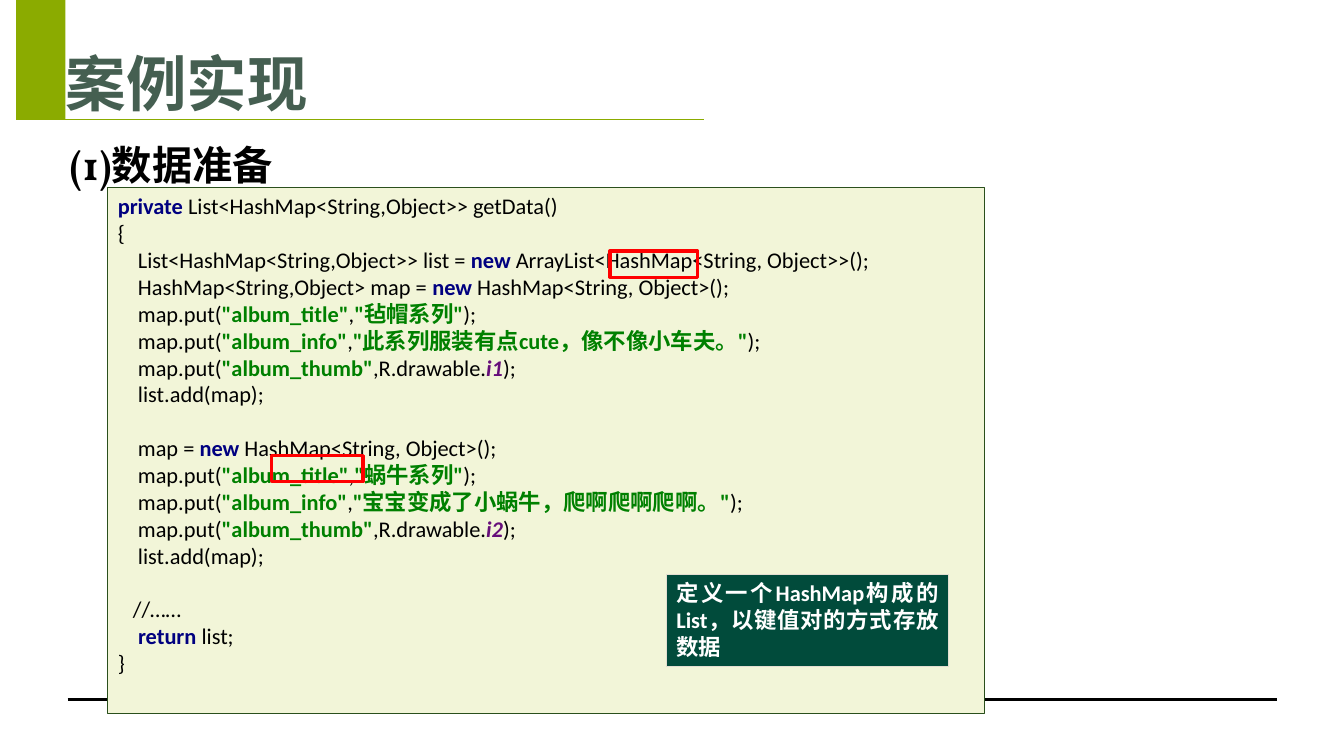
from lxml.etree import SubElement
from pptx import Presentation
from pptx.dml.color import RGBColor
from pptx.enum.shapes import MSO_CONNECTOR, MSO_SHAPE
from pptx.enum.text import MSO_ANCHOR, MSO_AUTO_SIZE, PP_ALIGN
from pptx.oxml.ns import qn
from pptx.util import Inches, Pt

PLAIN = {"color": "000000"}
KEYWORD = {"color": "000080", "bold": True}
STRING = {"color": "008000", "bold": True}
FIELD = {"color": "660E7A", "bold": True, "italic": True}
NEW = ("new ", KEYWORD)


def rgb(value):
    return RGBColor.from_string(value)


def put(key, value, style):
    """Return the code line that stores one value in the map."""
    prefix = [(",", PLAIN)] if style is STRING else [(",R.drawable.", PLAIN)]
    return [("    map.put(", PLAIN), (f'"{key}"', STRING), *prefix,
            (value, style), (");", PLAIN)]


def album(declaration, title, info, thumbnail):
    """Return the code lines that create one album and add it to the list."""
    return [
        [(f"    {declaration} = ", PLAIN), NEW, ("HashMap<String, Object>();", PLAIN)],
        put("album_title", f'"{title}"', STRING),
        put("album_info", f'"{info}"', STRING),
        put("album_thumb", thumbnail, FIELD),
        [("    list.add(map);", PLAIN)],
    ]


CODE = [
    [("private ", KEYWORD), ("List<HashMap<String,Object>> getData()", PLAIN)],
    [("{", PLAIN)],
    [("    List<HashMap<String,Object>> list = ", PLAIN), NEW,
     ("ArrayList<HashMap<String, Object>>();", PLAIN)],
    *album("HashMap<String,Object> map", "毡帽系列",
           "此系列服装有点cute，像不像小车夫。", "i1"),
    [],
    *album("map", "蜗牛系列", "宝宝变成了小蜗牛，爬啊爬啊爬啊。", "i2"),
    [],
    [("   //……", PLAIN)],
    [("    ", PLAIN), ("return ", KEYWORD), ("list;", PLAIN)],
    [("}", PLAIN)],
]


class SlideBuilder:
    def __init__(self, slide, font="Calibri", size=16):
        self.slide = slide
        self.font = font
        self.size = size

    def run(self, paragraph, text, color, bold=False, italic=False, font=None, size=None):
        run = paragraph.add_run()
        run.text = text
        run.font.name = font or self.font
        run.font.size = Pt(size or self.size)
        run.font.bold = bold
        run.font.italic = italic
        run.font.color.rgb = rgb(color)

    def frame(self, shape, margins, anchor=MSO_ANCHOR.TOP):
        """Prepare the text frame of a shape and return its first paragraph."""
        frame = shape.text_frame
        frame.word_wrap = True
        frame.auto_size = MSO_AUTO_SIZE.NONE
        frame.vertical_anchor = anchor
        (frame.margin_left, frame.margin_top,
         frame.margin_right, frame.margin_bottom) = map(Inches, margins)
        paragraph = frame.paragraphs[0]
        paragraph.alignment = PP_ALIGN.LEFT
        return paragraph

    def title(self, text, box):
        shape = self.slide.shapes.title
        shape.left, shape.top, shape.width, shape.height = map(Inches, box)
        paragraph = self.frame(shape, (0, 0.04, 0, 0), MSO_ANCHOR.BOTTOM)
        self.run(paragraph, text, "455F51", bold=True, font="Courier New", size=43.2)

    def heading(self, text, box):
        shape = self.slide.shapes.add_textbox(*map(Inches, box))
        paragraph = self.frame(shape, (0.08, 0.04, 0.08, 0.04))
        self.run(paragraph, text, "000000", bold=True, font="Vollkorn", size=28.8)

    def line(self, start, end, color, width):
        line = self.slide.shapes.add_connector(
            MSO_CONNECTOR.STRAIGHT, *map(Inches, (*start, *end)))
        line.line.color.rgb = rgb(color)
        line.line.width = Pt(width)
        SubElement(line._element.spPr, qn("a:effectLst"))

    def rectangle(self, box, fill=None, outline=None, width=0.75):
        shape = self.slide.shapes.add_shape(MSO_SHAPE.RECTANGLE, *map(Inches, box))
        shape.shadow.inherit = False
        if fill:
            shape.fill.solid()
            shape.fill.fore_color.rgb = rgb(fill)
        else:
            shape.fill.background()
        if outline:
            shape.line.color.rgb = rgb(outline)
            shape.line.width = Pt(width)
        else:
            shape.line.fill.background()
        return shape

    def code(self, lines, box):
        shape = self.rectangle(box, "F2F5D8", "2A4F1C")
        paragraph = self.frame(shape, (0.1, 0.05, 0.1, 0.05))
        for index, tokens in enumerate(lines):
            if index:
                paragraph.add_line_break()
                # A line break takes its height from its own run properties.
                SubElement(paragraph._p[-1], qn("a:rPr"), sz=str(self.size * 100))
            for text, style in tokens:
                self.run(paragraph, text, **style)

    def callout(self, text, box):
        shape = self.rectangle(box, "014B3B", "E3DED1")
        paragraph = self.frame(shape, (0.1, 0.05, 0.1, 0.05))
        paragraph.alignment = PP_ALIGN.JUSTIFY
        self.run(paragraph, text, "FFFFFF", bold=True)

    def highlight(self, box):
        self.rectangle(box, outline="FF0000", width=2.25)


def main():
    presentation = Presentation()
    presentation.slide_width = Inches(13.33)
    presentation.slide_height = Inches(7.5)
    builder = SlideBuilder(presentation.slides.add_slide(presentation.slide_layouts[5]))

    builder.line((0.67, 6.94), (12.67, 6.94), "000000", 2.25)
    builder.rectangle((0.16, 0, 0.49, 1.19), "8BAB00")
    builder.line((0.61, 1.18), (6.98, 1.18), "8BAB00", 0.5)
    builder.heading("(1)数据准备", (0.61, 1.35, 12, 5.6))
    builder.title("案例实现", (0.65, -0.07, 12, 1.25))
    builder.code(CODE, (1.07, 1.86, 8.69, 5.22))
    builder.callout("定义一个HashMap构成的List，以键值对的方式存放数据", (6.61, 5.7, 2.8, 0.91))
    builder.highlight((6.05, 2.49, 0.87, 0.26))
    builder.highlight((2.69, 4.52, 0.91, 0.26))

    presentation.save("out.pptx")


if __name__ == "__main__":
    main()
